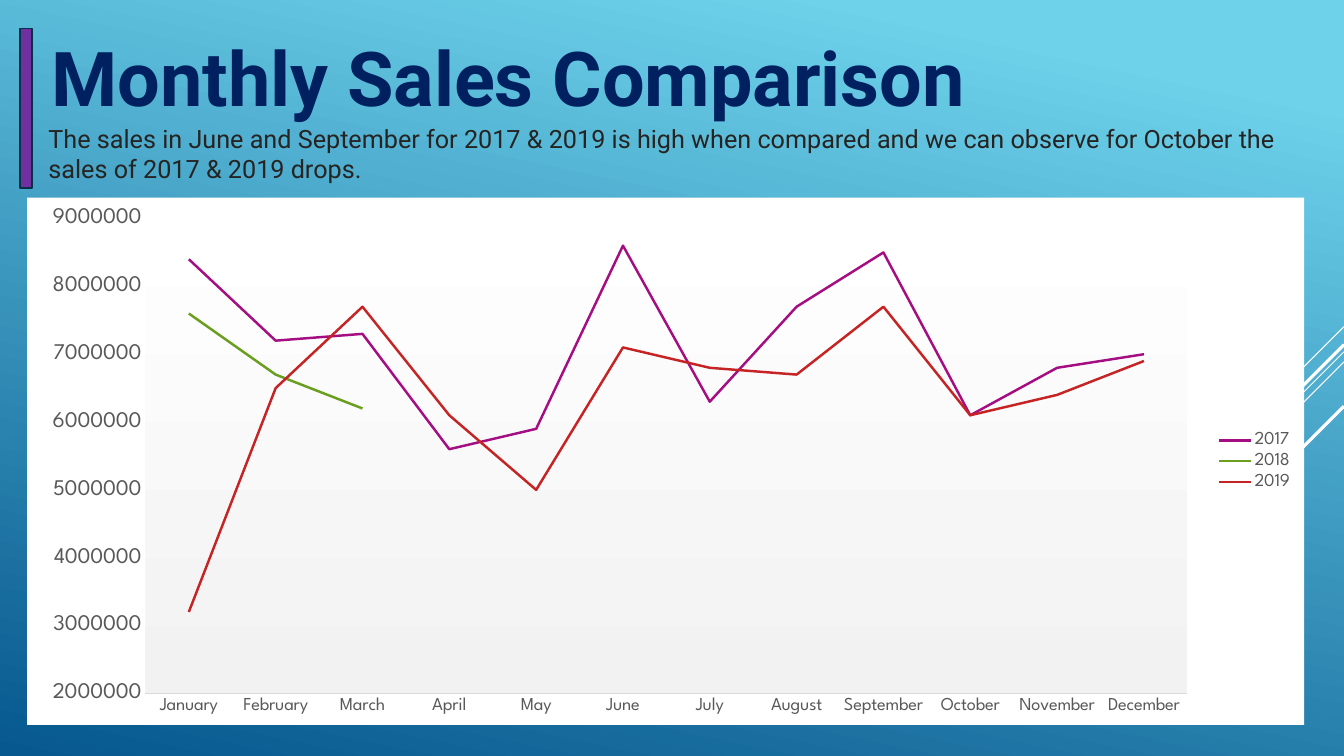
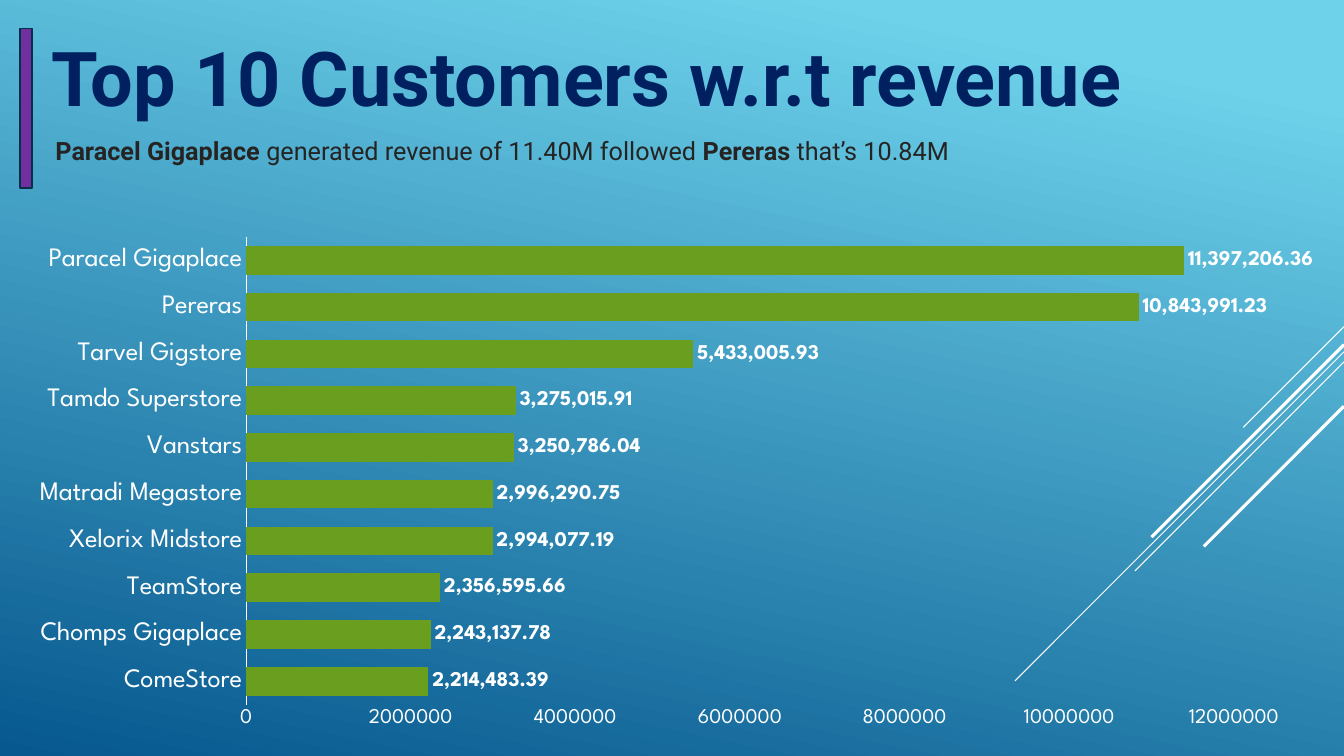
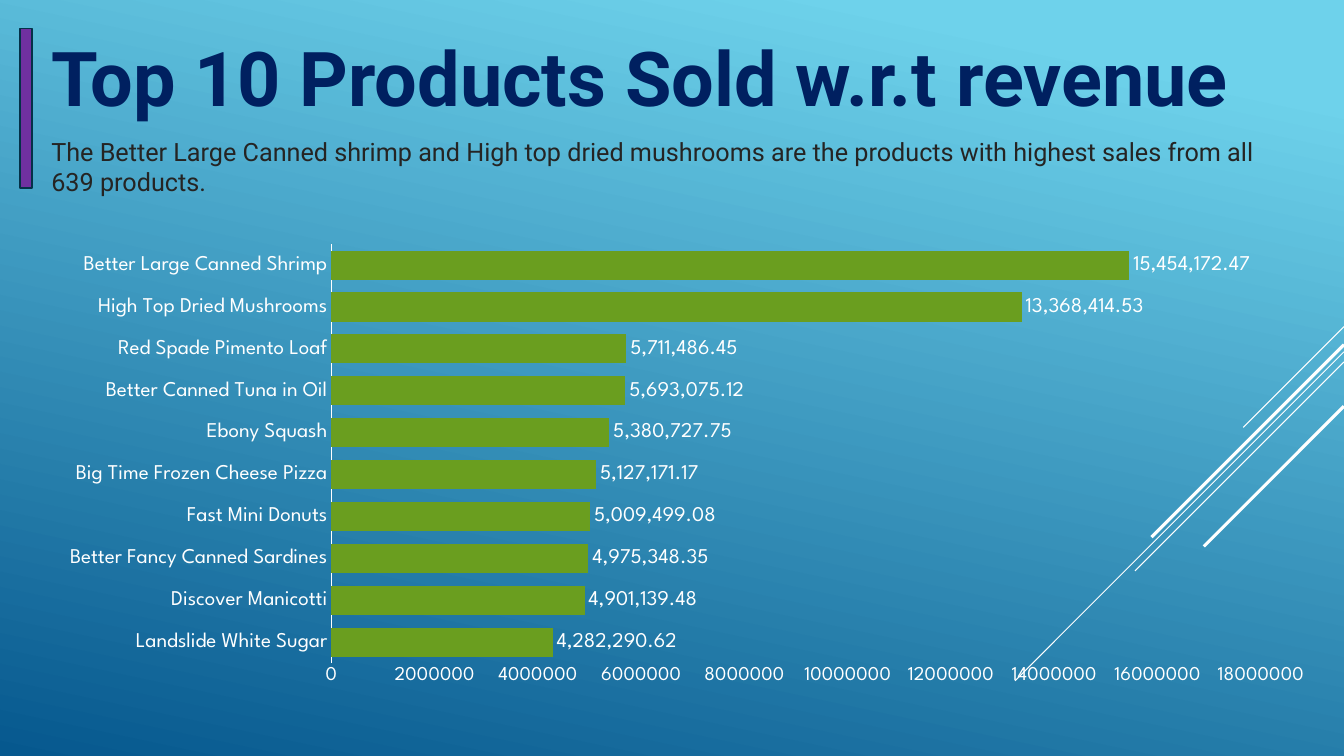
"""Builds three sales slides: a monthly comparison and two top-ten rankings."""
from pptx import Presentation
from pptx import util as u
from pptx.chart import data
from pptx.dml import color, fill, line
from pptx.enum import chart as ce, shapes, text
from pptx.oxml import xmlchemy as xc

Pt = u.Pt
COLORS = {
    "sky": "6ED2EB", "deep": "06588E", "navy": "002060", "ink": "252423",
    "purple": "7030A0", "outline": "043148", "white": "FFFFFF",
    "gray": "595959", "rule": "D9D9D9", "mist": "F2F2F2",
    "magenta": "A50E82", "green": "6A9E1F", "red": "C62324",
}
TEXT_FONT, CHART_FONT = "Roboto", "League Spartan"
STREAKS = [(233.3, 72, 0.75), (251.3, 235, 0.75), (258.5, 149.3, 0.75),
           (246.2, 137.5, 2.25), (290.2, 100.1, 2.25)]


def rgb(name):
    return color.RGBColor.from_string(COLORS[name])


def style_font(font, face, size, tone, bold=False):
    font.name, font.size, font.bold = face, Pt(size), bold
    font.color.rgb = rgb(tone)


def blend(area, tones, positions, clockwise):
    area.gradient()
    area.gradient_angle = 360 - clockwise
    for stop, tone, position in zip(area.gradient_stops, tones, positions):
        stop.color.rgb, stop.position = rgb(tone), position


class Deck:
    def __init__(self):
        self.show = Presentation()
        self.show.slide_width, self.show.slide_height = Pt(960), Pt(540)

    def start_slide(self, title):
        self.slide = self.show.slides.add_slide(self.show.slide_layouts[6])
        blend(self.slide.background.fill, ("sky", "deep"), (0.1, 1), 102)
        for top, reach, weight in STREAKS:
            self.streak(top, reach, weight)
        self.words((36.7, 22.3, 905, 65.5), [(title, True)], 54, "navy")
        self.title_bar()

    def streak(self, top, reach, weight):
        streak = self.slide.shapes.add_connector(
            shapes.MSO_CONNECTOR.STRAIGHT,
            Pt(960), Pt(top), Pt(960 - reach), Pt(top + reach))
        streak.line.color.rgb, streak.line.width = rgb("white"), Pt(weight)
        streak.element.spPr.append(xc.OxmlElement("a:effectLst"))

    def title_bar(self):
        bar = self.slide.shapes.add_shape(
            shapes.MSO_SHAPE.MATH_MINUS, Pt(-59), Pt(59), Pt(154.8), Pt(36.7))
        bar.rotation = 90
        bar.shadow.inherit = False
        bar.fill.solid()
        bar.fill.fore_color.rgb = rgb("purple")
        bar.line.color.rgb, bar.line.width = rgb("outline"), Pt(1.25)

    def words(self, box, pieces, size, tone):
        frame = self.slide.shapes.add_textbox(*map(Pt, box)).text_frame
        frame.margin_left = frame.margin_right = 0
        frame.margin_top = frame.margin_bottom = 0
        frame.word_wrap = True
        frame.auto_size = text.MSO_AUTO_SIZE.SHAPE_TO_FIT_TEXT
        for piece, bold in pieces:
            run = frame.paragraphs[0].add_run()
            run.text = piece
            style_font(run.font, TEXT_FONT, size, tone, bold)

    def insight(self, left, top, *pieces):
        self.words((left, top, 881.3, 43.9), pieces, 18, "ink")

    def chart(self, kind, box, categories, series):
        figures = data.CategoryChartData()
        figures.categories = categories
        for name, values in series:
            figures.add_series(name, values)
        chart = self.slide.shapes.add_chart(kind, *map(Pt, box), figures).chart
        chart.has_title = chart.has_legend = False
        style_font(chart.font, CHART_FONT, 10, "white")
        chart.plots[0].vary_by_categories = False
        return chart

    def axes(self, chart, sizes, tone, rule, span, step):
        names, amounts = chart.category_axis, chart.value_axis
        for axis, size in zip((names, amounts), sizes):
            axis.has_major_gridlines = False
            axis.major_tick_mark = axis.minor_tick_mark = ce.XL_TICK_MARK.NONE
            style_font(axis.tick_labels.font, CHART_FONT, size, tone)
        names.format.line.color.rgb = rgb(rule)
        names.format.line.width = Pt(0.75)
        amounts.format.line.fill.background()
        amounts.minimum_scale, amounts.maximum_scale = span
        amounts.major_unit = step

    def backdrops(self, chart):
        areas = []
        body = chart.element.xpath("c:chart")[0]
        plot = chart.element.xpath("c:chart/c:plotArea")[0]
        for place in (body.addnext, plot.append):
            props = xc.OxmlElement("c:spPr")
            place(props)
            area = fill.FillFormat.from_fill_parent(props)
            area.background()
            line.LineFormat(props).fill.background()
            areas.append(area)
        return areas

    def place_plot(self, chart, frame):
        plot = chart.element.xpath("c:chart/c:plotArea")[0]
        for old in plot.xpath("c:layout"):
            plot.remove(old)
        layout = xc.OxmlElement("c:layout")
        manual = xc.OxmlElement("c:manualLayout")
        layout.append(manual)
        rules = [("layoutTarget", "inner"), ("xMode", "edge"), ("yMode", "edge")]
        for tag, value in rules + list(zip("xywh", frame)):
            rule = xc.OxmlElement(f"c:{tag}")
            rule.set("val", str(value))
            manual.append(rule)
        plot.insert(0, layout)

    def trend(self, box, categories, series, tones):
        chart = self.chart(ce.XL_CHART_TYPE.LINE, box, categories, series)
        self.axes(chart, (13, 16), "gray", "rule", (2000000, 9000000), 1000000)
        paper, plot = self.backdrops(chart)
        paper.solid()
        paper.fore_color.rgb = rgb("white")
        blend(plot, ("white", "mist"), (0, 1), 90)
        chart.has_legend = True
        chart.legend.position = ce.XL_LEGEND_POSITION.RIGHT
        chart.legend.include_in_layout = False
        style_font(chart.legend.font, CHART_FONT, 13, "gray")
        for year, tone in zip(chart.plots[0].series, tones):
            year.smooth = False
            year.format.line.color.rgb = rgb(tone)
            year.format.line.width = Pt(1.75)

    def ranking(self, box, revenue, sizes, top, gap, bold=False, frame=None):
        ascending = list(revenue.items())[::-1]
        names, amounts = zip(*ascending)
        chart = self.chart(ce.XL_CHART_TYPE.BAR_CLUSTERED, box, names,
                           [("Series 1", amounts)])
        self.axes(chart, sizes, "white", "white", (0, top), 2000000)
        self.backdrops(chart)
        if frame:
            self.place_plot(chart, frame)
        bars = chart.plots[0]
        bars.gap_width = gap
        bars.series[0].format.fill.solid()
        bars.series[0].format.fill.fore_color.rgb = rgb("green")
        labels = bars.series[0].data_labels
        labels.show_value = True
        labels.position = ce.XL_LABEL_POSITION.OUTSIDE_END
        labels.number_format, labels.number_format_is_linked = "#,##0.00", False
        style_font(labels.font, CHART_FONT, 15, "white", bold)


MONTHS = ["January", "February", "March", "April", "May", "June", "July",
          "August", "September", "October", "November", "December"]
MILLIONS = {
    "2017": [8.4, 7.2, 7.3, 5.6, 5.9, 8.6, 6.3, 7.7, 8.5, 6.1, 6.8, 7.0],
    "2018": [7.6, 6.7, 6.2] + [None] * 9,
    "2019": [3.2, 6.5, 7.7, 6.1, 5.0, 7.1, 6.8, 6.7, 7.7, 6.1, 6.4, 6.9],
}
CUSTOMERS = {
    "Paracel Gigaplace": 11397206.36, "Pereras": 10843991.23,
    "Tarvel Gigstore": 5433005.93, "Tamdo Superstore": 3275015.91,
    "Vanstars": 3250786.04, "Matradi Megastore": 2996290.75,
    "Xelorix Midstore": 2994077.19, "TeamStore": 2356595.66,
    "Chomps Gigaplace": 2243137.78, "ComeStore": 2214483.39,
}
PRODUCTS = {
    "Better Large Canned Shrimp": 15454172.47,
    "High Top Dried Mushrooms": 13368414.53,
    "Red Spade Pimento Loaf": 5711486.45,
    "Better Canned Tuna in Oil": 5693075.12,
    "Ebony Squash": 5380727.75,
    "Big Time Frozen Cheese Pizza": 5127171.17,
    "Fast Mini Donuts": 5009499.08,
    "Better Fancy Canned Sardines": 4975348.35,
    "Discover Manicotti": 4901139.48,
    "Landslide White Sugar": 4282290.62,
}

deck = Deck()

deck.start_slide("Monthly Sales Comparison")
deck.insight(34.6, 87.8, (
    "The sales in June and September for 2017 & 2019 is high when compared "
    "and we can observe for October the sales of 2017 & 2019 drops.", False))
yearly = [(year, [m and round(m * 1000000) for m in sales])
          for year, sales in MILLIONS.items()]
deck.trend((19.4, 141.1, 912.2, 376.6), MONTHS, yearly,
           ("magenta", "green", "red"))

deck.start_slide("Top 10 Customers w.r.t revenue")
deck.insight(39.6, 96.5, ("Paracel Gigaplace ", True),
             ("generated revenue of 11.40M followed ", False),
             ("Pereras", True), (" that’s 10.84M", False))
deck.ranking((10.1, 162, 928.1, 365), CUSTOMERS, (19, 15), 12000000, 63,
             bold=True)

deck.start_slide("Top 10 Products Sold w.r.t revenue")
deck.insight(36.7, 97, (
    "The Better Large Canned shrimp and High top dried mushrooms are the "
    "products with highest sales from all 639 products.", False))
deck.ranking((36.7, 163.4, 909.4, 369.4), PRODUCTS, (15, 14), 18000000, 44,
             frame=(0.22, 0.03, 0.73, 0.81))

deck.show.save("out.pptx")
